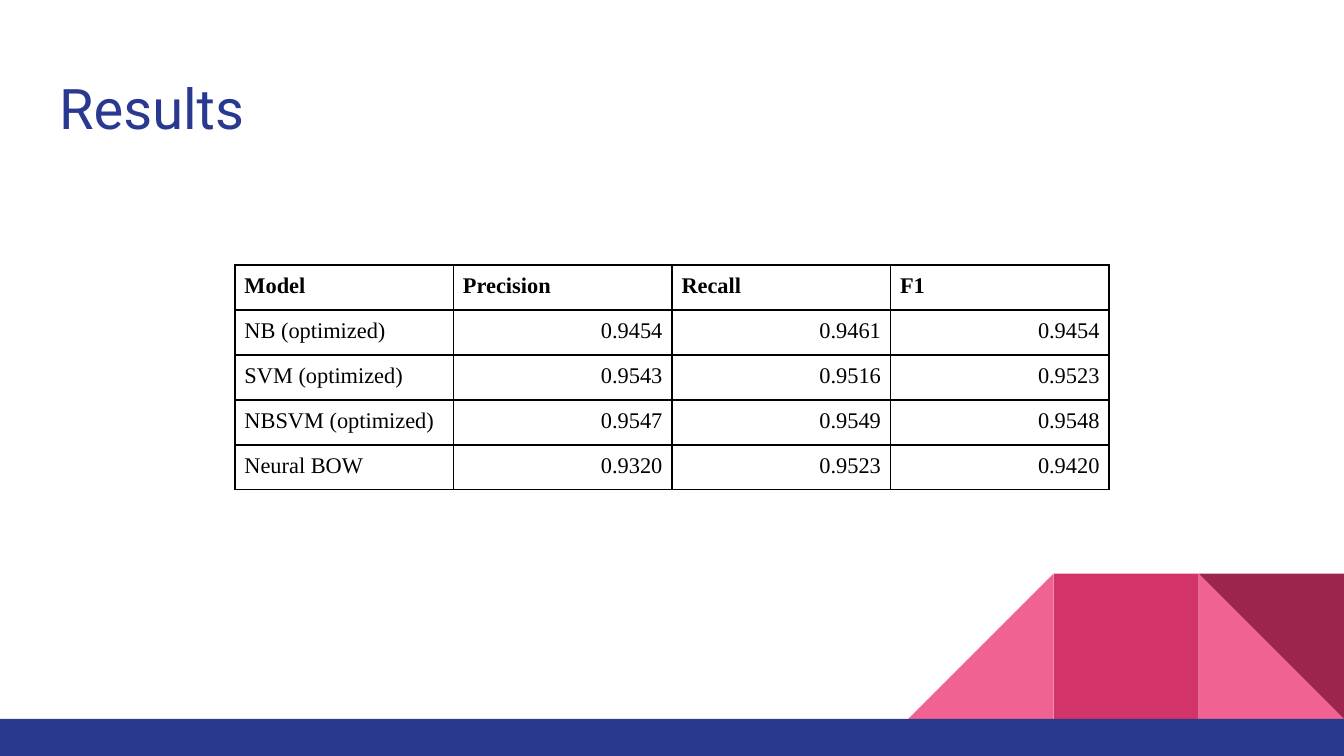
from lxml import etree
from pptx import Presentation
from pptx import util as u
from pptx.dml.color import RGBColor
from pptx.enum import shapes, text
from pptx.oxml.ns import qn

NAVY = RGBColor(0x2A, 0x39, 0x90)
PINK = RGBColor(0xF0, 0x62, 0x92)
ROSE = RGBColor(0xD2, 0x33, 0x69)
MAROON = RGBColor(0x9C, 0x25, 0x4D)
BLACK = RGBColor(0, 0, 0)
TRIANGLE = shapes.MSO_SHAPE.RIGHT_TRIANGLE
RECTANGLE = shapes.MSO_SHAPE.RECTANGLE
WIDTH, HEIGHT = 25.4, 14.29


def style_run(run, size, face, color, bold=False):
    values = {"size": u.Pt(size), "name": face, "bold": bold}
    for key, value in values.items():
        setattr(run.font, key, value)
    run.font.color.rgb = color


def add_block(kind, left, top, width, height, color):
    block = slide.shapes.add_shape(kind, u.Cm(left), u.Cm(top), u.Cm(width), u.Cm(height))
    block.shadow.inherit = False
    block.fill.solid()
    block.fill.fore_color.rgb = color
    block.line.fill.background()
    return block


deck = Presentation()
deck.slide_width, deck.slide_height = u.Cm(WIDTH), u.Cm(HEIGHT)
slide = deck.slides.add_slide(deck.slide_layouts[6])

# Corner ornament: square tiles counted from the right edge
TILE, FOOTER_TOP = 2.745, 13.59
for kind, place, color, mirrored, angle in [
    (TRIANGLE, 1, PINK, False, 0),
    (TRIANGLE, 3, PINK, True, 0),
    (RECTANGLE, 2, ROSE, False, 0),
    (TRIANGLE, 1, MAROON, False, 180),
]:
    tile = add_block(kind, WIDTH - place * TILE, FOOTER_TOP - TILE, TILE, TILE, color)
    tile.rotation = angle
    if mirrored:
        tile.element.spPr.find(qn("a:xfrm")).set("flipH", "1")

# Footer band
add_block(RECTANGLE, 0, FOOTER_TOP, WIDTH, HEIGHT - FOOTER_TOP, NAVY)

# Heading
heading = slide.shapes.add_textbox(u.Cm(0.87), u.Cm(1.14), u.Cm(23.67), u.Cm(1.68)).text_frame
inset = u.Cm(0.25)
heading_format = {
    "word_wrap": True, "vertical_anchor": text.MSO_ANCHOR.TOP,
    "margin_left": inset, "margin_right": inset,
    "margin_top": inset, "margin_bottom": inset,
}
for key, value in heading_format.items():
    setattr(heading, key, value)
heading_run = heading.paragraphs[0].add_run()
heading_run.text = "Results"
style_run(heading_run, 30, "Roboto", NAVY)

# Model scores
scores = [
    ("Model", "Precision", "Recall", "F1"),
    ("NB (optimized)", "0.9454", "0.9461", "0.9454"),
    ("SVM (optimized)", "0.9543", "0.9516", "0.9523"),
    ("NBSVM (optimized)", "0.9547", "0.9549", "0.9548"),
    ("Neural BOW", "0.9320", "0.9523", "0.9420"),
]
COLUMN, ROW = 4.13, 0.82
score_table = slide.shapes.add_table(
    len(scores), len(scores[0]), u.Cm(4.44), u.Cm(5.01),
    u.Cm(COLUMN * len(scores[0])), u.Cm(ROW * len(scores)),
).table
score_table.first_row = score_table.horz_banding = False
for column in score_table.columns:
    column.width = u.Cm(COLUMN)
for row in score_table.rows:
    row.height = u.Cm(ROW)

cell_format = {
    "margin_left": u.Cm(0.18), "margin_right": u.Cm(0.18),
    "margin_top": u.Cm(0.17), "margin_bottom": u.Cm(0.17),
    "vertical_anchor": text.MSO_ANCHOR.TOP,
}
for r, record in enumerate(scores):
    for c, entry in enumerate(record):
        cell = score_table.cell(r, c)
        for key, value in cell_format.items():
            setattr(cell, key, value)
        paragraph = cell.text_frame.paragraphs[0]
        is_score = r > 0 and c > 0
        paragraph.alignment = text.PP_ALIGN.RIGHT if is_score else text.PP_ALIGN.LEFT
        run = paragraph.add_run()
        run.text = entry
        style_run(run, 12, "Times New Roman", BLACK, bold=r == 0)

        # Borders come before the fill in the cell properties
        properties = cell._tc.get_or_add_tcPr()
        for side in ("a:lnL", "a:lnR", "a:lnT", "a:lnB"):
            border = etree.SubElement(properties, qn(side), w=str(u.Pt(1)))
            border_fill = etree.SubElement(border, qn("a:solidFill"))
            etree.SubElement(border_fill, qn("a:srgbClr"), val=str(BLACK))
        cell.fill.background()

deck.save("out.pptx")
